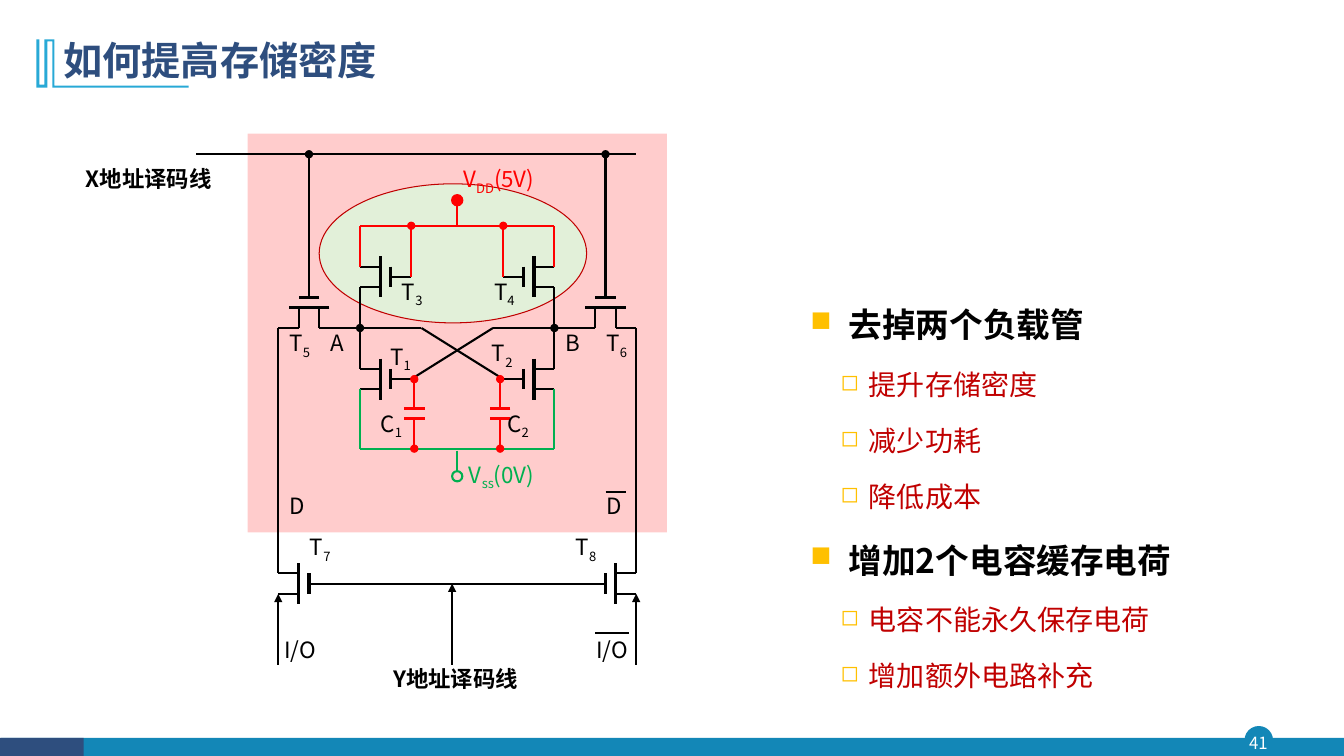
import pptx
import pptx.util
import pptx.dml.color
import pptx.enum.shapes
import pptx.enum.text
import pptx.oxml.ns
import lxml.etree

Inches, Pt = pptx.util.Inches, pptx.util.Pt
Rgb = pptx.dml.color.RGBColor.from_string
Kind = pptx.enum.shapes.MSO_SHAPE
Align = pptx.enum.text.PP_ALIGN
Mid = pptx.enum.text.MSO_ANCHOR.MIDDLE
qn = pptx.oxml.ns.qn


class Theme:
    font = "Noto Sans CJK SC"
    navy, blue, sky = "2E4E7E", "1387B7", "28A9D6"
    black, white, red, green = "000000", "FFFFFF", "FF0000", "00B050"
    dark, gold, pale = "C00000", "FFC000", "E2F0D9"
    title, head, sub, label, page = 28, 24, 20, 16, 12
    thin, thick = 1.5, 2.25


deck = pptx.Presentation()
deck.slide_width, deck.slide_height = Inches(13.33), Inches(7.5)
slide = deck.slides.add_slide(deck.slide_layouts[5])
shapes = slide.shapes

# Circuit grid: 35 columns from the left bit line, rows from the X line
left, top, unit, last = 2.76, 1.53, 3.55 / 35, 35


def wire(x1, y1, x2, y2, color=Theme.black, width=Theme.thin, head=None):
    ends = [Inches(n) for n in (left + x1 * unit, top + y1 * unit,
                                left + x2 * unit, top + y2 * unit)]
    link = shapes.add_connector(pptx.enum.shapes.MSO_CONNECTOR.STRAIGHT, *ends)
    link.line.color.rgb = Rgb(color)
    link.line.width = Pt(width)
    if head:
        line = link.line._get_or_add_ln()
        lxml.etree.SubElement(line, qn("a:headEnd"), type=head)
    lxml.etree.SubElement(link._element.spPr, qn("a:effectLst"))


def style(para, size, color, bold=False):
    para.font.name = Theme.font
    para.font.size = Pt(size)
    para.font.bold = bold
    para.font.color.rgb = Rgb(color)
    base = para._p.pPr.find(qn("a:defRPr"))
    lxml.etree.SubElement(base, qn("a:ea"), typeface=Theme.font)


# Footer, cell area, load area and supply nodes
cell = (left - 3 * unit, top - 2 * unit, 41 * unit, 39 * unit)
load = (left + 4 * unit, top + 2.9 * unit, 26.15 * unit, 13.6 * unit)
vdd, vss = [(left + 17 * unit, top + row * unit, unit, unit) for row in (4, 31)]
for kind, box, fill, edge, width in (
        (Kind.OVAL, (12.35, 7.21, 0.27, 0.27), Theme.blue, Theme.blue, 1),
        (Kind.RECTANGLE, (0.01, 7.32, 13.32, 0.18), Theme.blue, None, 0),
        (Kind.RECTANGLE, (0, 7.32, 0.83, 0.18), Theme.navy, None, 0),
        (Kind.RECTANGLE, cell, Theme.red, None, 0),
        (Kind.OVAL, load, Theme.pale, Theme.dark, 0.75),
        (Kind.OVAL, vdd, Theme.red, Theme.red, Theme.thin),
        (Kind.OVAL, vss, None, Theme.green, Theme.thin)):
    shape = shapes.add_shape(kind, *[Inches(n) for n in box])
    shape.shadow.inherit = False
    if fill:
        shape.fill.solid()
        shape.fill.fore_color.rgb = Rgb(fill)
    else:
        shape.fill.background()
    if edge:
        shape.line.color.rgb = Rgb(edge)
        shape.line.width = Pt(width)
    else:
        shape.line.fill.background()
    if box == cell:
        tint = shape._element.spPr.find(".//" + qn("a:srgbClr"))
        lxml.etree.SubElement(tint, qn("a:alpha"), val="20000")

# Title and its mark, in hundredths of an inch
mark = [(54, 39), (54, 85), (187, 85), (187, 87), (52, 87), (52, 41), (47, 41),
        (47, 87), (36, 87), (36, 39), (39, 39), (39, 84), (44, 84), (44, 39)]
pen = shapes.build_freeform(*mark[0], scale=Inches(0.01))
pen.add_line_segments(mark[1:], close=True)
shape = pen.convert_to_shape()
shape.shadow.inherit = False
shape.fill.solid()
shape.fill.fore_color.rgb = Rgb(Theme.sky)
shape.line.fill.background()

title = shapes.title
title.left, title.top = Inches(0.53), Inches(0.28)
title.width, title.height = Inches(11.5), Inches(0.68)
title.text_frame.text = "如何提高存储密度"
title.text_frame.vertical_anchor = Mid
para = title.text_frame.paragraphs[0]
para.alignment = Align.LEFT
para.line_spacing = 0.9
style(para, Theme.title, Theme.navy, True)

# Shared lines: X line, Y line, supply rails
wire(-8, 0, last, 0)
wire(5, 42, 30, 42)
wire(17, 42, 17, 50, head="triangle")
wire(8, 28.8, 27, 28.8, Theme.green)
wire(17.5, 29, 17.5, 31, Theme.green)
wire(8, 7, 27, 7, Theme.red)
wire(17.5, 7, 17.5, 5, Theme.red)

# Left half of the cell; the right half is its mirror
black, red, bold = (Theme.black,), (Theme.red,), (Theme.black, Theme.thick)
half = [
    # Pass transistor
    (5, 15, 1, 15, *bold), (4, 14, 2, 14, *bold), (4, 17, 4, 15), (2, 17, 2, 15),
    (3, 14, 3, 12), (3, 0, 3, 12, *black, Theme.thin, "oval"),
    # Bit line and cross wires
    (2, 17, 0, 17), (0, 17, 0, 41), (0, 43, 0, 50, *black, Theme.thin, "triangle"),
    (8, 17, 4, 17, *black, Theme.thin, "oval"), (8, 13, 8, 17), (8, 17, 8, 21),
    (8, 17, 14, 17), (14, 17, 22, 22),
    # Supply wires
    (8, 23, 8, 28.8, Theme.green), (8, 7, 8, 11, *red),
    (13, 7, 13, 12, *red, Theme.thin, "oval"),
    # Capacitor
    (12.3, 24.9, 14.3, 24.9, *red, Theme.thick),
    (12.3, 25.85, 14.3, 25.85, *red, Theme.thick),
    (13.3, 22, 13.3, 24.9, *red, Theme.thin, "oval"),
    (13.3, 28.8, 13.3, 25.85, *red, Theme.thin, "oval")]
gates = []
for x, y in ((8, 11), (8, 21), (0, 41)):
    gates += [(x + 2, y - 1, x + 2, y + 3, *bold), (x + 3, y, x + 3, y + 2, *bold),
              (x, y, x + 2, y), (x, y + 2, x + 2, y + 2), (x + 3, y + 1, x + 5, y + 1)]
for x1, y1, x2, y2, *look in gates + half:
    wire(x1, y1, x2, y2, *look)
    wire(last - x1, y1, last - x2, y2, *look)

# Bars over the inverted signals
wire(32, 33, 34, 33)
wire(31, 46.8, 34.3, 46.8)

# Labels: underscores enclose a subscript
for text, x, y, cols, color in (
        ("T_1", 10.85, 18.35, 3, Theme.black), ("T_2", 20.8, 18, 3, Theme.black),
        ("T_3", 12, 12, 3, Theme.black), ("T_4", 21, 12, 3, Theme.black),
        ("T_5", 1, 17, 3, Theme.black), ("T_6", 32, 17, 3, Theme.black),
        ("T_7", 3, 37, 3, Theme.black), ("T_8", 29, 37, 3, Theme.black),
        ("C_1", 9.9, 24.9, 4, Theme.black), ("C_2", 22.3, 24.9, 4, Theme.black),
        ("A", 5, 17, 3, Theme.black), ("B", 28, 17, 3, Theme.black),
        ("D", 1, 33, 3, Theme.black), ("D", 32, 33, 3, Theme.black),
        ("I/O", 0.5, 47, 4.5, Theme.black), ("I/O", 31, 47, 5, Theme.black),
        ("V_DD_(5V)", 18, 1, 9.5, Theme.red),
        ("V_ss_(0V)", 18.55, 29.9, 9.5, Theme.green),
        ("X地址译码线", -18.9, 1, 16, Theme.black),
        ("Y地址译码线", 11.15, 49.9, 16, Theme.black)):
    box = shapes.add_textbox(Inches(left + x * unit), Inches(top + y * unit),
                             Inches(cols * unit), Inches(4 * unit))
    frame = box.text_frame
    frame.word_wrap = True
    frame.margin_left = frame.margin_right = Inches(0.01)
    frame.margin_top = frame.margin_bottom = Inches(0.01)
    para = frame.paragraphs[0]
    for i, part in enumerate(text.split("_")):
        run = para.add_run()
        run.text = part
        if i == 1:
            run.font._element.set("baseline", "-25000")
    style(para, Theme.label, color, "地址" in text)

# Page number
box = shapes.add_textbox(Inches(12.32), Inches(7.21), Inches(0.32), Inches(0.31))
frame = box.text_frame
frame.margin_left = frame.margin_right = frame.margin_top = frame.margin_bottom = 0
frame.vertical_anchor = Mid
frame.text = "41"
frame.paragraphs[0].alignment = Align.CENTER
style(frame.paragraphs[0], Theme.page, Theme.white)

# Key points
box = shapes.add_textbox(Inches(7.94), Inches(2.77), Inches(4.36), Inches(4.12))
box.fill.solid()
box.fill.fore_color.rgb = Rgb(Theme.white)
frame = box.text_frame
frame.word_wrap = True
points = [(0, "去掉两个负载管"), (1, "提升存储密度"), (1, "减少功耗"), (1, "降低成本"),
          (0, "增加2个电容缓存电荷"), (1, "电容不能永久保存电荷"), (1, "增加额外电路补充")]
looks = [("■", "85000", 0.38, 0.38, 4.8, Theme.head, Theme.black, True),
         ("◻", "80000", 0.58, 0.28, 4, Theme.sub, Theme.dark, False)]
for i, (level, text) in enumerate(points):
    sign, share, indent, hang, gap, size, color, strong = looks[level]
    para = frame.add_paragraph() if i else frame.paragraphs[0]
    para.text = text
    para.level = level
    para.line_spacing = 1.5
    para.space_before = Pt(gap if i else 0)
    props = para._p.get_or_add_pPr()
    props.set("marL", str(Inches(indent)))
    props.set("indent", str(-Inches(hang)))
    tint = lxml.etree.SubElement(props, qn("a:buClr"))
    lxml.etree.SubElement(tint, qn("a:srgbClr"), val=Theme.gold)
    lxml.etree.SubElement(props, qn("a:buSzPct"), val=share)
    lxml.etree.SubElement(props, qn("a:buChar"), char=sign)
    style(para, size, color, strong)

deck.save("out.pptx")
